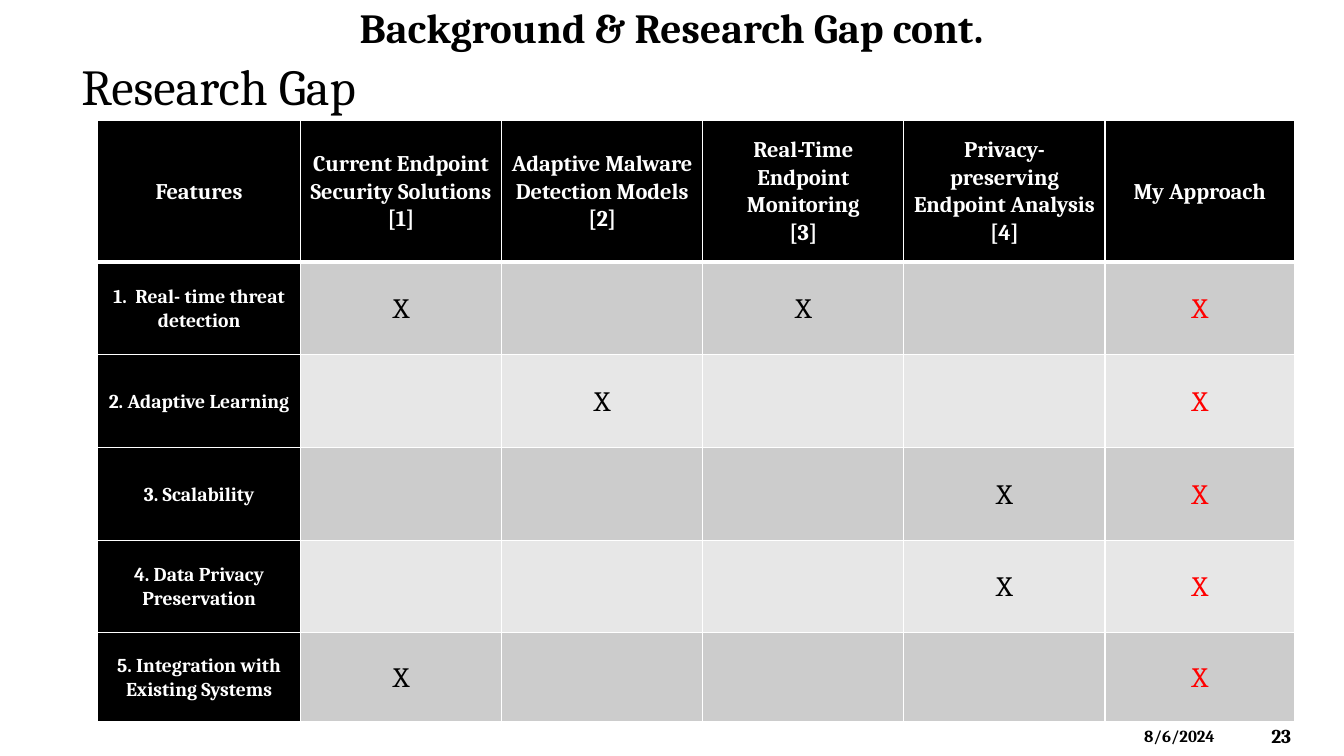
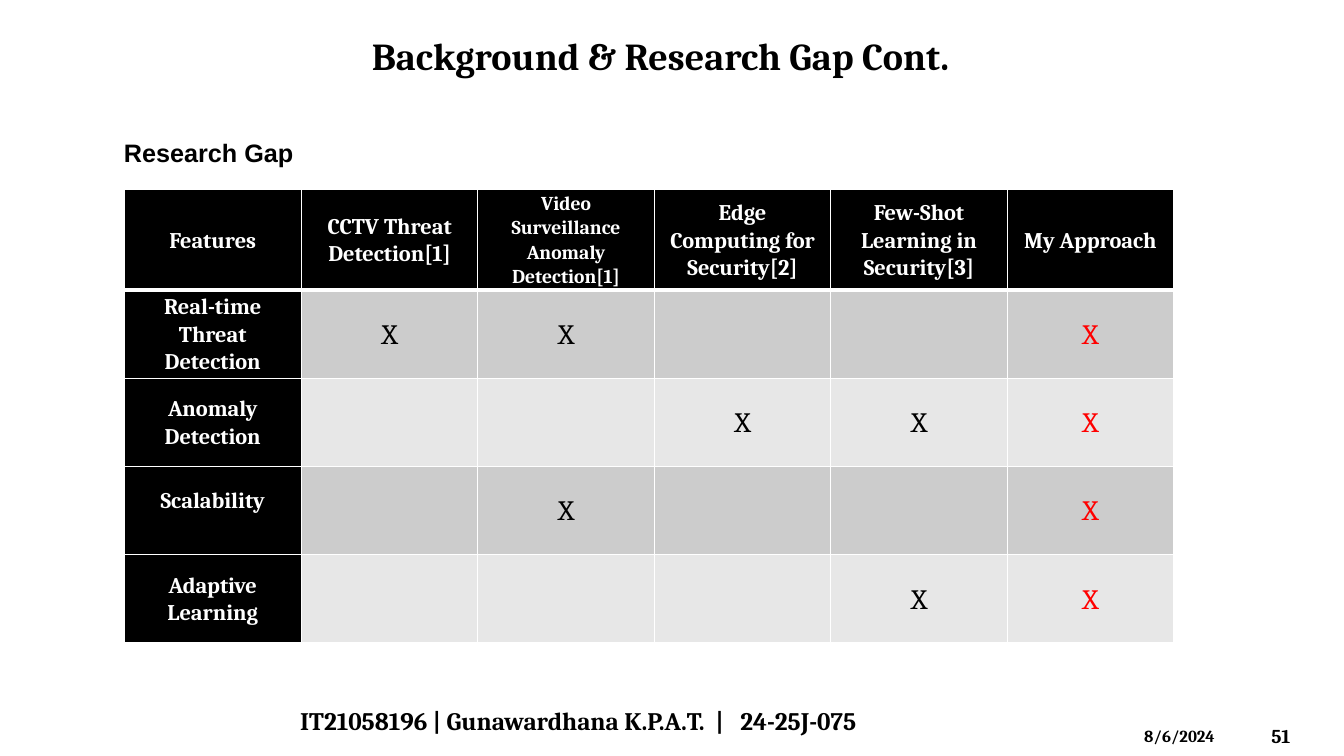
"""Build two research gap slides, each with a feature comparison table."""
import dataclasses

import lxml.etree
import pptx
import pptx.dml.color
import pptx.enum.text
import pptx.oxml.ns
import pptx.util

ALIGN = pptx.enum.text.PP_ALIGN
ANCHOR = pptx.enum.text.MSO_ANCHOR


@dataclasses.dataclass(frozen=True)
class Theme:
    """Hold the grid, fonts, type sizes and colours of the deck."""
    width: float = 13.33
    height: float = 7.5
    cols: int = 100
    rows: int = 75
    font: str = "Cambria"
    plain_font: str = "Arial"
    ink: str = "000000"
    paper: str = "FFFFFF"
    bands: tuple = ("CCCCCC", "E7E7E7")
    accent: str = "FF0000"
    heading: int = 36
    title: float = 29.6
    subtitle: float = 27.2
    label: int = 18
    mark: int = 20
    cell: int = 16
    small_cell: int = 14
    page: int = 14
    date: int = 12
    line: int = 1
    header_line: int = 3
    cell_inset: float = 0.07
    cell_spacing: float = 1.07


T = Theme()


def across(n):
    """Convert grid columns to a length."""
    return pptx.util.Inches(n * T.width / T.cols)


def down(n):
    """Convert grid rows to a length."""
    return pptx.util.Inches(n * T.height / T.rows)


def rgb(value):
    """Make a colour from its hex form."""
    return pptx.dml.color.RGBColor.from_string(value)


def add_run(p, text, size, color=T.ink, bold=True, font=T.font):
    """Add one styled run to a paragraph."""
    r = p.add_run()
    r.text = text
    r.font.name = font
    r.font.size = pptx.util.Pt(size)
    r.font.bold = bold
    r.font.color.rgb = rgb(color)


def add_text(s, box, text, size, align=ALIGN.LEFT, anchor=ANCHOR.MIDDLE, **style):
    """Add a one-line text box placed on the grid."""
    x, y, w, h = box
    sp = s.shapes.add_textbox(across(x), down(y), across(w), down(h))
    tf = sp.text_frame
    tf.word_wrap = True
    tf.vertical_anchor = anchor
    p = tf.paragraphs[0]
    p.alignment = align
    add_run(p, text, size, **style)


def style_cell(cell, fill, top, bottom):
    """Set the borders, fill and margins of a cell."""
    tc_pr = cell._tc.get_or_add_tcPr()
    for side, width in zip("LRTB", (T.line, T.line, top, bottom)):
        ln = lxml.etree.SubElement(tc_pr, pptx.oxml.ns.qn("a:ln" + side),
                                   w=str(pptx.util.Pt(width)))
        solid = lxml.etree.SubElement(ln, pptx.oxml.ns.qn("a:solidFill"))
        lxml.etree.SubElement(solid, pptx.oxml.ns.qn("a:srgbClr"), val=T.paper)
    cell.fill.solid()
    cell.fill.fore_color.rgb = rgb(fill)
    cell.vertical_anchor = ANCHOR.MIDDLE
    cell.margin_left = cell.margin_right = pptx.util.Inches(T.cell_inset)
    cell.margin_top = cell.margin_bottom = 0


def fill_cell(cell, text, size, color, bold):
    """Write centred text in a cell, one paragraph a line."""
    tf = cell.text_frame
    for i, line in enumerate(text.split("\n")):
        p = tf.add_paragraph() if i else tf.paragraphs[0]
        p.alignment = ALIGN.CENTER
        p.line_spacing = T.cell_spacing
        add_run(p, line, size, color, bold)


def add_matrix(s, box, ends, heights, headers, features, feature_size, small=()):
    """Add a feature table whose marks are strings of X and dots."""
    x, y, w = box
    first, last = ends
    middle = (w - first - last) / (len(headers) - 2)
    widths = [first] + [middle] * (len(headers) - 2) + [last]
    tbl = s.shapes.add_table(len(heights), len(widths), across(x), down(y),
                             across(w), down(sum(heights))).table
    tbl.first_row = tbl.horz_banding = False
    for col, width in zip(tbl.columns, widths):
        col.width = across(width)
    for row, height in zip(tbl.rows, heights):
        row.height = down(height)
    for j, text in enumerate(headers):
        style_cell(tbl.cell(0, j), T.ink, T.line, T.header_line)
        size = T.small_cell if text in small else T.cell
        fill_cell(tbl.cell(0, j), text, size, T.paper, True)
    for i, (name, marks) in enumerate(features, 1):
        top = T.header_line if i == 1 else T.line
        style_cell(tbl.cell(i, 0), T.ink, top, T.line)
        fill_cell(tbl.cell(i, 0), name, feature_size, T.paper, True)
        for j, mark in enumerate(marks, 1):
            cell = tbl.cell(i, j)
            style_cell(cell, T.bands[(i - 1) % 2], top, T.line)
            if mark == "X":
                color = T.accent if j == len(marks) else T.ink
                fill_cell(cell, mark, T.mark, color, False)
    return tbl


def add_slide(prs, number):
    """Add a blank slide with its page number and date."""
    s = prs.slides.add_slide(prs.slide_layouts[6])
    add_text(s, (93.85, 71, 5.55, 4), number, T.page)
    add_text(s, (84.4, 71.5, 8.8, 3), "8/6/2024", T.date)
    return s


def endpoint_slide(prs):
    """Compare endpoint security work."""
    s = add_slide(prs, "23")
    add_text(s, (4.05, 5.2, 24.45, 6.6), "Research Gap", T.heading,
             ALIGN.CENTER, bold=False)
    headers = ["Features", "Current Endpoint Security Solutions\n[1]",
               "Adaptive Malware Detection Models [2]",
               "Real-Time Endpoint Monitoring\n[3]",
               "Privacy-preserving Endpoint Analysis\n[4]", "My Approach"]
    features = [("1.  Real- time threat detection", "X.X.X"),
                ("2. Adaptive Learning", ".X..X"),
                ("3. Scalability", "...XX"),
                ("4. Data Privacy Preservation", "...XX"),
                ("5. Integration with Existing Systems", "X...X")]
    add_matrix(s, (7.28, 11.9, 89.05), (15.08, 14.1),
               [14.1] + [9.2] * 4 + [8.8], headers, features, T.small_cell)
    add_text(s, (12.15, 0, 75.7, 5.3), "Background & Research Gap cont.",
             T.title, ALIGN.CENTER)


def surveillance_slide(prs):
    """Compare video surveillance work."""
    s = add_slide(prs, "51")
    add_text(s, (26.93, 2.7, 46.2, 8.3), "Background & Research Gap Cont.",
             T.subtitle, anchor=ANCHOR.TOP)
    add_text(s, (21.6, 69.5, 55.9, 4),
             "IT21058196 | Gunawardhana K.P.A.T.  |   24-25J-075", T.label)
    add_text(s, (8.48, 11.8, 39.75, 6.6), "Research Gap", T.label,
             font=T.plain_font)
    video = "Video Surveillance Anomaly Detection[1]"
    headers = ["Features", "CCTV Threat Detection[1]", video,
               "Edge Computing for Security[2]",
               "Few-Shot Learning in Security[3]", "My Approach"]
    features = [("Real-time Threat Detection", "XX..X"),
                ("Anomaly Detection", "..XXX"),
                ("Scalability", ".X..X"),
                ("Adaptive Learning", "...XX")]
    tbl = add_matrix(s, (9.23, 18.8, 78.1), (13.2, 12.38),
                     [9.9] + [8.75] * 4, headers, features, T.cell, (video,))
    tbl.cell(3, 0).margin_bottom = down(2)


def main():
    """Build and save the deck."""
    prs = pptx.Presentation()
    prs.slide_width = pptx.util.Inches(T.width)
    prs.slide_height = pptx.util.Inches(T.height)
    endpoint_slide(prs)
    surveillance_slide(prs)
    prs.save("out.pptx")


if __name__ == "__main__":
    main()
